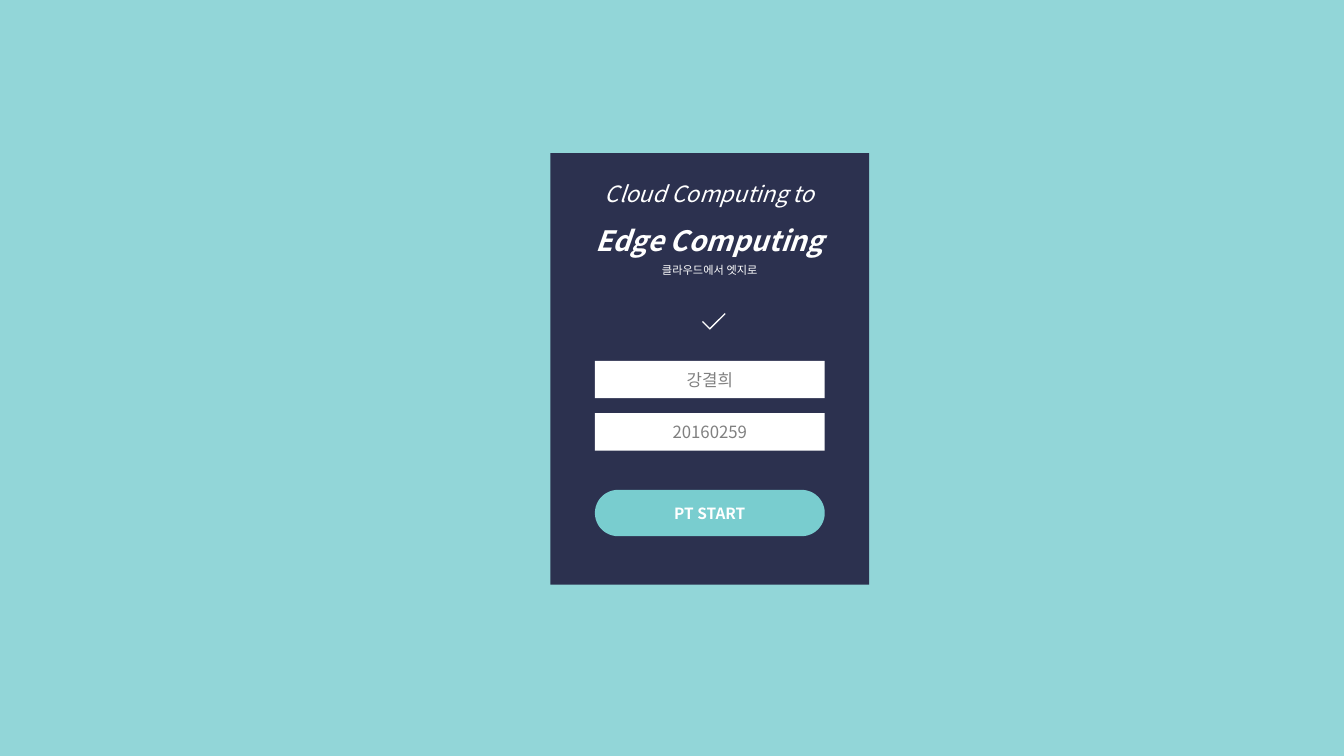
from lxml.etree import SubElement as Sub
from pptx import Presentation
from pptx.dml.color import RGBColor as Rgb
from pptx.enum.shapes import MSO_SHAPE as Shape
from pptx.enum.text import MSO_ANCHOR as Anchor, PP_ALIGN as Align
from pptx.oxml.ns import qn
from pptx.util import Inches, Pt

FONT = "Noto Sans CJK KR"
COLORS = {"teal": "79CDCF", "navy": "2C314F", "white": "FFFFFF", "gray": "808080"}


def tint(fill, color, alpha=None):
    fill.solid()
    fill.fore_color.rgb = Rgb.from_string(COLORS[color])
    if alpha:
        node = fill._xPr.find(qn("a:solidFill"))[0]
        Sub(node, qn("a:alpha")).set("val", str(alpha * 1000))


def add_form(slide, kind, box, color, adjust=(), alpha=None):
    form = slide.shapes.add_shape(kind, *map(Inches, box))
    form.shadow.inherit = False
    form.line.fill.background()
    tint(form.fill, color, alpha)
    for i, value in enumerate(adjust):
        form.adjustments[i] = value
    return form


def add_run(para, text, size, color, bold=False, slant=False):
    para.alignment = Align.CENTER
    run = para.add_run()
    run.text = text
    font = run.font
    font.name, font.size, font.bold, font.italic = FONT, Pt(size), bold, slant
    font.color.rgb = Rgb.from_string(COLORS[color])
    Sub(font._element, qn("a:ea")).set("typeface", FONT)


def add_field(slide, box, text, size, color, fill, bold=False, round_by=0):
    field = add_form(slide, Shape.ROUNDED_RECTANGLE, box, fill, [round_by])
    field.text_frame.vertical_anchor = Anchor.MIDDLE
    add_run(field.text_frame.paragraphs[0], text, size, color, bold)


def add_title(slide, box):
    frame = slide.shapes.add_textbox(*map(Inches, box)).text_frame
    frame.word_wrap = True
    lines = [
        ("Cloud Computing to", 16, False, True),
        ("Edge Computing", 20, True, True),
        ("클라우드에서 엣지로", 8, False, False),
    ]
    for i, (text, size, bold, slant) in enumerate(lines):
        para = frame.add_paragraph() if i else frame.paragraphs[0]
        para.line_spacing = 1.5
        add_run(para, text, size, "white", bold, slant)


def add_check(slide, box):
    check = add_form(slide, Shape.CORNER, box, "white", [0.12, 0.12])
    check.rotation = 315


def add_card(slide, box):
    left, top, width, height = box
    add_form(slide, Shape.RECTANGLE, box, "navy")
    inset = 0.44
    x, span = left + inset, width - 2 * inset
    add_field(slide, (x, top + 3.34, span, 0.46), "PT START", 11,
              "white", "teal", True, 0.5)
    add_title(slide, (left + 0.32, top + 0.08, width - 0.64, 1.19))
    for i, text in enumerate(["강결희", "20160259"]):
        add_field(slide, (x, top + 2.06 + i * 0.52, span, 0.37), text, 12,
                  "gray", "white")
    add_check(slide, (left + 1.51, top + 1.58, 0.22, 0.11))


def main():
    deck = Presentation()
    deck.slide_width, deck.slide_height = Inches(13.33), Inches(7.5)
    slide = deck.slides.add_slide(deck.slide_layouts[6])
    add_form(slide, Shape.RECTANGLE, (0, 0, 13.33, 7.5), "teal", alpha=81)
    add_card(slide, (5.46, 1.52, 3.16, 4.28))
    deck.save("out.pptx")


if __name__ == "__main__":
    main()
